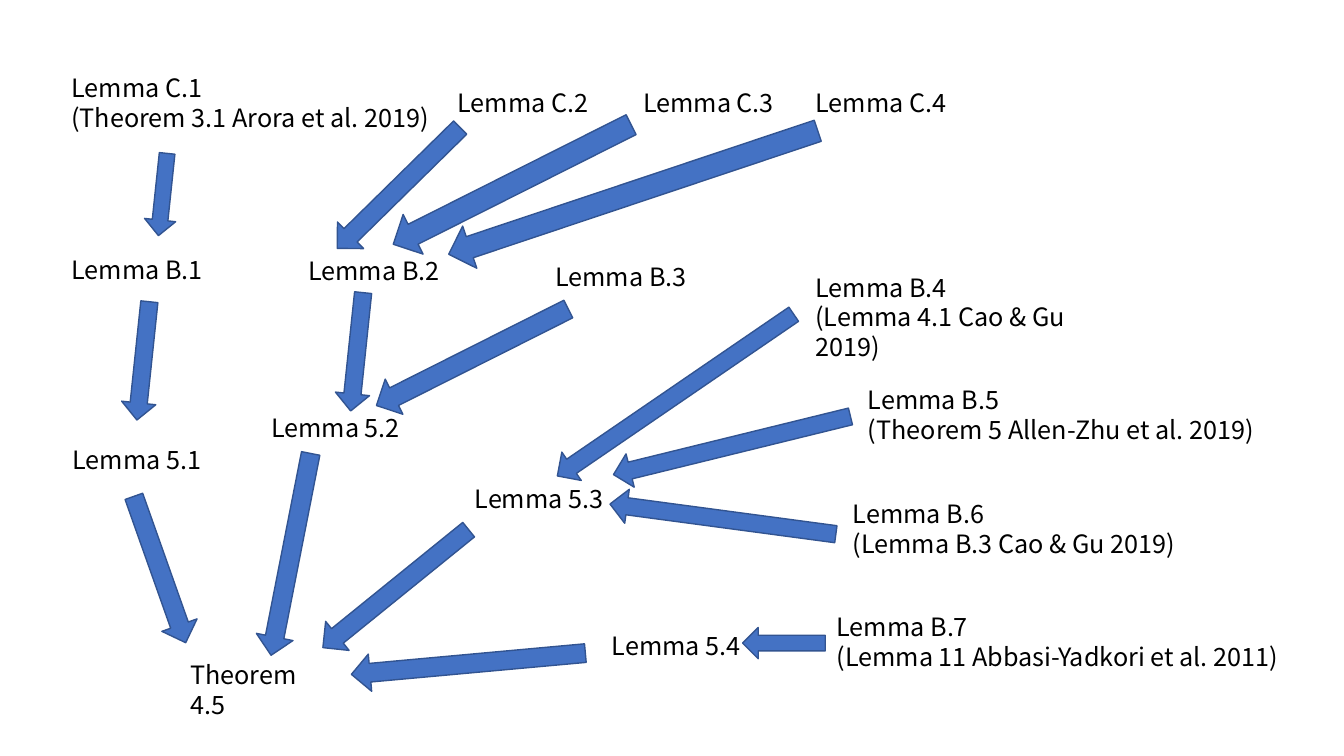
"""Build a slide showing how the lemmas lead to Theorem 4.5."""
from dataclasses import dataclass

from pptx import Presentation
from pptx.dml.color import RGBColor
from pptx.enum.shapes import MSO_SHAPE
from pptx.enum.text import MSO_AUTO_SIZE
from pptx.util import Inches, Pt

DOWN_ARROW = MSO_SHAPE.DOWN_ARROW
FIT_SHAPE = MSO_AUTO_SIZE.SHAPE_TO_FIT_TEXT
BLANK_LAYOUT = 6


@dataclass(frozen=True)
class Theme:
    font: str = "Noto Sans CJK SC"
    size: Pt = Pt(18)
    leading: Pt = Pt(21.4)
    text: RGBColor = RGBColor(0x00, 0x00, 0x00)
    fill: RGBColor = RGBColor(0x44, 0x72, 0xC4)
    outline: RGBColor = RGBColor(0x32, 0x54, 0x91)
    outline_width: Pt = Pt(1)


@dataclass(frozen=True)
class Statement:
    left: float
    top: float
    name: str
    source: str = ""
    width: float = 1.63


@dataclass(frozen=True)
class Arrow:
    left: float
    top: float
    width: float
    length: float
    angle: float


THEME = Theme()

STATEMENTS = [
    Statement(0.61, 0.67, "Lemma C.1", "(Theorem 3.1 Arora et al. 2019)", 3.75),
    Statement(4.44, 0.82, "Lemma C.2"),
    Statement(6.28, 0.82, "Lemma C.3"),
    Statement(7.99, 0.82, "Lemma C.4"),
    Statement(0.61, 2.48, "Lemma B.1"),
    Statement(2.96, 2.49, "Lemma B.2"),
    Statement(5.41, 2.55, "Lemma B.3"),
    Statement(7.99, 2.65, "Lemma B.4", "(Lemma 4.1 Cao & Gu 2019)", 3.26),
    Statement(8.51, 3.77, "Lemma B.5", "(Theorem 5 Allen-Zhu et al. 2019)", 4.05),
    Statement(8.36, 4.9, "Lemma B.6", "(Lemma B.3 Cao & Gu 2019)", 4.05),
    Statement(8.2, 6.02, "Lemma B.7", "(Lemma 11 Abbasi-Yadkori et al. 2011)", 4.67),
    Statement(0.62, 4.36, "Lemma 5.1"),
    Statement(2.59, 4.04, "Lemma 5.2"),
    Statement(4.61, 4.75, "Lemma 5.3"),
    Statement(5.97, 6.21, "Lemma 5.4"),
    Statement(1.79, 6.49, "Theorem 4.5"),
]

ARROWS = [
    Arrow(1.46, 1.52, 0.31, 0.82, 6),
    Arrow(3.77, 1.01, 0.37, 1.71, 45.5),
    Arrow(4.86, 0.51, 0.44, 2.64, 63.3),
    Arrow(6.06, -0.02, 0.44, 3.86, 71.5),
    Arrow(1.25, 2.99, 0.34, 1.18, 6),
    Arrow(3.37, 2.9, 0.34, 1.18, 6),
    Arrow(4.49, 2.48, 0.39, 2.13, 63.3),
    Arrow(6.53, 2.5, 0.34, 2.84, 55.6),
    Arrow(7.09, 3.21, 0.34, 2.42, 76.2),
    Arrow(7, 4.02, 0.34, 2.26, 97.6),
    Arrow(7.62, 5.97, 0.31, 0.82, 90),
    Arrow(1.4, 4.88, 0.37, 1.54, 340.5),
    Arrow(2.7, 4.48, 0.37, 2.04, 11.1),
    Arrow(3.74, 4.91, 0.37, 1.86, 51),
    Arrow(4.46, 5.42, 0.37, 2.33, 84.8),
]


def set_format(target: object, values: dict) -> None:
    for name, value in values.items():
        setattr(target, name, value)


def draw_statement(slide, item: Statement) -> None:
    height = 0.71 if item.source else 0.4
    sp = slide.shapes.add_textbox(
        Inches(item.left), Inches(item.top), Inches(item.width), Inches(height)
    )
    tf = sp.text_frame
    set_format(tf, {"word_wrap": True, "auto_size": FIT_SHAPE})
    tf.text = f"{item.name}\n{item.source}" if item.source else item.name
    for p in tf.paragraphs:
        p.line_spacing = THEME.leading
        for r in p.runs:
            set_format(r.font, {"name": THEME.font, "size": THEME.size})
            r.font.color.rgb = THEME.text


def draw_arrow(slide, item: Arrow) -> None:
    sp = slide.shapes.add_shape(
        DOWN_ARROW,
        Inches(item.left), Inches(item.top), Inches(item.width), Inches(item.length),
    )
    sp.rotation = item.angle
    sp.shadow.inherit = False
    sp.fill.solid()
    sp.fill.fore_color.rgb = THEME.fill
    sp.line.color.rgb = THEME.outline
    sp.line.width = THEME.outline_width


def main() -> None:
    prs = Presentation()
    set_format(prs, {"slide_width": Inches(13.33), "slide_height": Inches(7.5)})
    slide = prs.slides.add_slide(prs.slide_layouts[BLANK_LAYOUT])
    for statement in STATEMENTS:
        draw_statement(slide, statement)
    for arrow in ARROWS:
        draw_arrow(slide, arrow)
    prs.save("out.pptx")


main()
